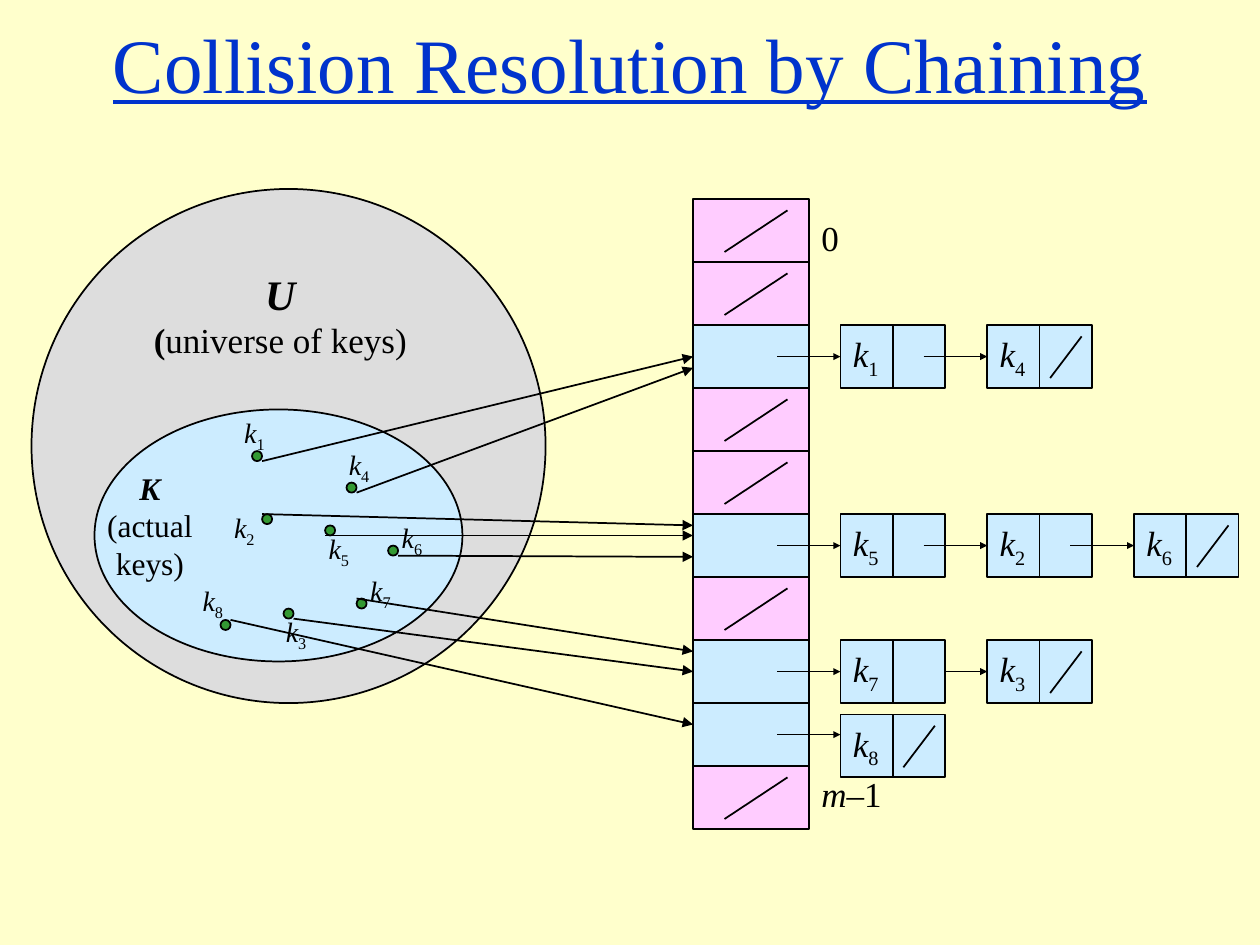
from dataclasses import dataclass

from lxml import etree
from pptx import Presentation
from pptx.dml.color import RGBColor
from pptx.enum import shapes, text
from pptx.oxml import ns
from pptx.util import Inches, Pt


@dataclass(frozen=True)
class Theme:
    font: str = "Times New Roman"
    page: str = "FFFFCC"
    title: str = "0033CC"
    ink: str = "000000"
    empty_slot: str = "FFCCFF"
    used: str = "CCECFF"
    universe: str = "DDDDDD"
    dot: str = "339933"
    title_size: int = 44
    universe_size: int = 24
    body_size: int = 20
    subset_size: int = 18
    key_size: int = 16
    line_width: int = 1


@dataclass(frozen=True)
class Box:
    left: float
    top: float
    width: float
    height: float

    def inside(self, x, y, width, height):
        return Box(self.left + x, self.top + y, width, height)

    def point(self, x, y):
        return self.left + x, self.top + y

    def lengths(self):
        return [Inches(v) for v in (self.left, self.top, self.width, self.height)]


@dataclass(frozen=True)
class Key:
    number: int
    dot: tuple
    label: tuple
    arrow_corner: tuple
    arrow_end: float


THEME = Theme()
RECT = shapes.MSO_SHAPE.RECTANGLE
OVAL = shapes.MSO_SHAPE.OVAL
CENTER = text.PP_ALIGN.CENTER
LEFT = text.PP_ALIGN.LEFT

ROW_HEIGHT = 0.5
ROW_COUNT = 10
DOT_SIZE = 0.08
NODE_WIDTH = 0.83
NODE_PITCH = 1.165

KEYS = [
    Key(1, (1.75, 2.08), (1.59, 1.75), (1, 1), 1.25),
    Key(2, (1.83, 2.58), (1.51, 2.5), (0, 0), 2.59),
    Key(3, (2, 3.33), (1.92, 3.33), (1, 1), 3.75),
    Key(4, (2.5, 2.33), (2.42, 2), (1, 1), 1.34),
    Key(5, (2.33, 2.67), (2.26, 2.67), (0, 1), 2.67),
    Key(6, (2.83, 2.83), (2.84, 2.58), (1, 1), 2.84),
    Key(7, (2.58, 3.25), (2.59, 3), (0, 0), 3.59),
    Key(8, (1.5, 3.42), (1.26, 3.08), (1, 0), 4.17),
]
CHAINS = {2: [1, 4], 5: [5, 2, 6], 7: [7, 3], 8: [8]}
NODE_DROP = {8: 0.09}
ARROW_INSET = {7: 0}


def color(value):
    return RGBColor.from_string(value)


def write(frame, paragraphs, size=THEME.body_size, ink=THEME.ink, align=LEFT,
          anchor=text.MSO_ANCHOR.TOP, wrap=False):
    frame.word_wrap = wrap
    frame.vertical_anchor = anchor
    for index, runs in enumerate(paragraphs):
        paragraph = frame.paragraphs[0] if index == 0 else frame.add_paragraph()
        paragraph.alignment = align
        for wording, style in runs:
            run = paragraph.add_run()
            run.text = wording
            font = run.font
            font.name = THEME.font
            font.size = Pt(style.get("size", size))
            font.color.rgb = color(ink)
            font.bold = style.get("bold", False)
            font.italic = style.get("italic", False)
            font.underline = style.get("underline", False)
            if style.get("subscript"):
                run.font._element.set("baseline", "-25000")


def key_name(number):
    return [[("k", {"italic": True}), (str(number), {"subscript": True})]]


def label(slide, box, paragraphs, **style):
    write(slide.shapes.add_textbox(*box.lengths()).text_frame, paragraphs, **style)


def outline(slide, kind, box, fill):
    shape = slide.shapes.add_shape(kind, *box.lengths())
    shape.shadow.inherit = False
    shape.fill.solid()
    shape.fill.fore_color.rgb = color(fill)
    shape.line.color.rgb = color(THEME.ink)
    shape.line.width = Pt(THEME.line_width)
    return shape


def line(slide, start, end, head=None):
    connector = slide.shapes.add_connector(
        shapes.MSO_CONNECTOR.STRAIGHT, *[Inches(v) for v in (*start, *end)])
    connector.line.color.rgb = color(THEME.ink)
    connector.line.width = Pt(THEME.line_width)
    if head:
        etree.SubElement(connector.line._get_or_add_ln(), ns.qn("a:tailEnd"),
                         type="triangle", w=head, len=head)
    etree.SubElement(connector._element.spPr, ns.qn("a:effectLst"))


def add_title(slide, box):
    title = slide.shapes.title
    title.left, title.top, title.width, title.height = box.lengths()
    write(title.text_frame,
          [[("Collision Resolution by Chaining", {"underline": True})]],
          size=THEME.title_size, ink=THEME.title, align=CENTER,
          anchor=text.MSO_ANCHOR.MIDDLE, wrap=True)


def add_slots(slide, box):
    outline(slide, RECT, box, THEME.empty_slot)
    for row in range(1, ROW_COUNT):
        y = row * ROW_HEIGHT
        line(slide, box.point(0, y), box.point(box.width, y))
    for row in range(ROW_COUNT):
        y = row * ROW_HEIGHT
        if row in CHAINS:
            outline(slide, RECT, box.inside(0, y, box.width, ROW_HEIGHT), THEME.used)
        else:
            line(slide, box.point(0.75, y + 0.09), box.point(0.25, y + 0.42))
    label(slide, box.inside(box.width, 0.09, 0.34, 0.44), [[("0", {})]])
    label(slide, box.inside(box.width, 4.5, 0.68, 0.44),
          [[("m", {"italic": True}), ("–1", {})]])


def add_universe(slide, box):
    outline(slide, OVAL, box, THEME.universe)
    outline(slide, OVAL, box.inside(0.5, 1.75, 2.92, 2), THEME.used)
    emphasis = {"bold": True, "italic": True}
    label(slide, box.inside(0.87, 0.58, 2.21, 0.84),
          [[("U", {**emphasis, "size": THEME.universe_size})],
           [("(", {"bold": True}), ("universe of keys)", {})]], align=CENTER)
    label(slide, box.inside(0.5, 2.17, 0.88, 1),
          [[("K", emphasis)], [("(actual", {})], [("keys)", {})]],
          size=THEME.subset_size, align=CENTER)
    for key in KEYS:
        outline(slide, OVAL, box.inside(*key.dot, DOT_SIZE, DOT_SIZE), THEME.dot)
        label(slide, box.inside(*key.label, 0.36, 0.41),
              key_name(key.number), size=THEME.key_size)


def add_hash_arrows(slide, universe, slots):
    for key in KEYS:
        start = [at + corner * DOT_SIZE
                 for at, corner in zip(key.dot, key.arrow_corner)]
        line(slide, universe.point(*start), slots.point(0, key.arrow_end), head="med")


def add_node(slide, box, number, is_last):
    node = outline(slide, RECT, box, THEME.used)
    write(node.text_frame, key_name(number), anchor=text.MSO_ANCHOR.MIDDLE, wrap=True)
    middle = box.width / 2
    line(slide, box.point(middle, 0), box.point(middle, box.height))
    if is_last:
        line(slide, box.point(0.75, 0.09), box.point(0.5, 0.42))


def add_chains(slide, box):
    for row, numbers in CHAINS.items():
        y = row * ROW_HEIGHT
        for place, number in enumerate(numbers):
            x = place * NODE_PITCH
            add_node(slide,
                     box.inside(x, y + NODE_DROP.get(row, 0), NODE_WIDTH, ROW_HEIGHT),
                     number, number == numbers[-1])
            reach = 0.5 if place == 0 else NODE_PITCH - NODE_WIDTH + ARROW_INSET.get(row, 0.17)
            arrow_y = y + ROW_HEIGHT / 2
            line(slide, box.point(x - reach, arrow_y), box.point(x, arrow_y), head="sm")


def main():
    deck = Presentation()
    deck.slide_width, deck.slide_height = Inches(10), Inches(7.5)
    slide = deck.slides.add_slide(deck.slide_layouts[5])
    slide.background.fill.solid()
    slide.background.fill.fore_color.rgb = color(THEME.page)

    universe = Box(0.25, 1.5, 4.08, 4.08)
    slots = Box(5.5, 1.58, 0.92, ROW_COUNT * ROW_HEIGHT)
    add_title(slide, Box(0, 0, 10, 1))
    add_slots(slide, slots)
    add_universe(slide, universe)
    add_hash_arrows(slide, universe, slots)
    add_chains(slide, Box(6.67, 1.58, 3.16, slots.height))
    deck.save("out.pptx")


if __name__ == "__main__":
    main()
